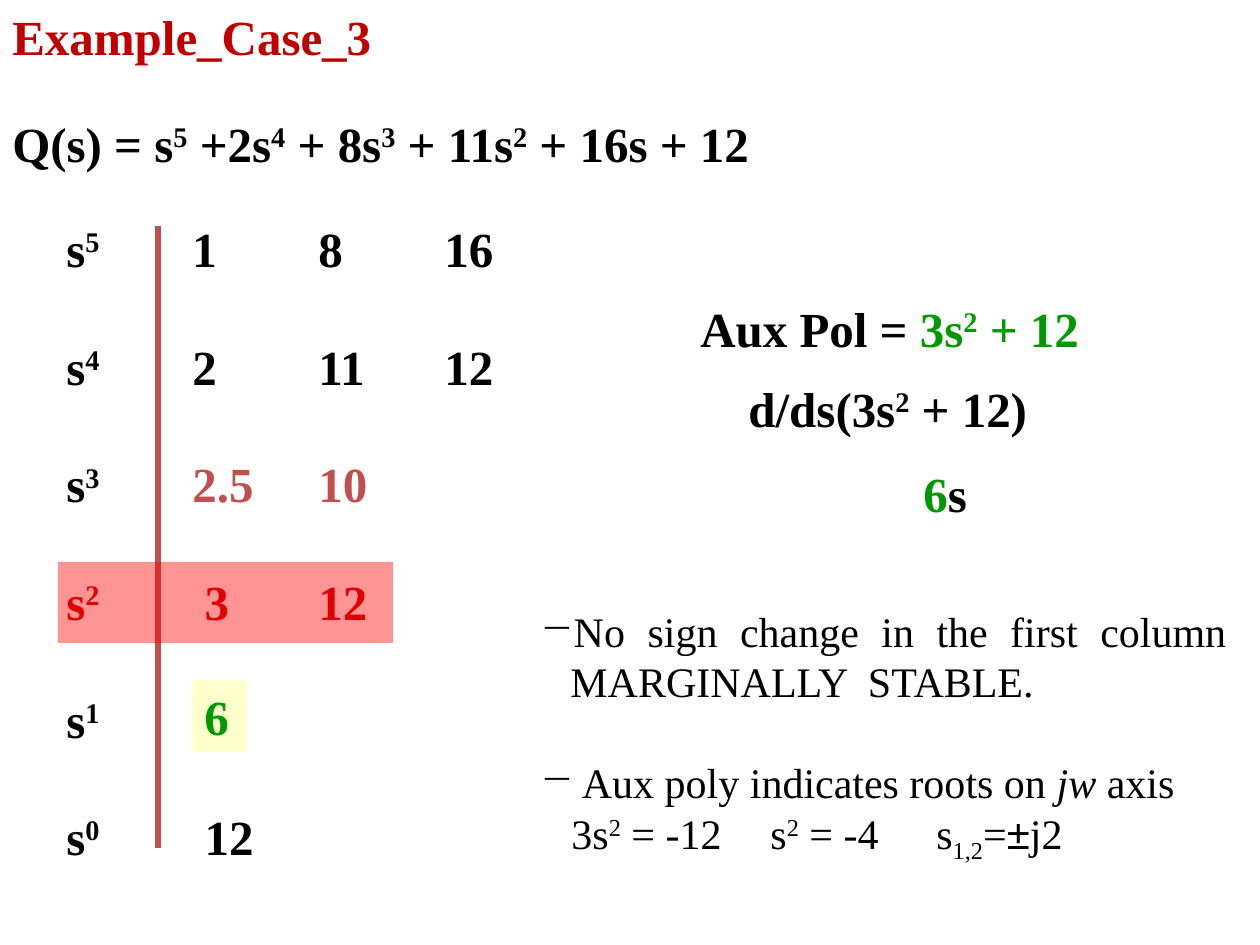
from dataclasses import dataclass

from lxml import etree
from pptx import Presentation
from pptx.dml.color import RGBColor
from pptx.enum.shapes import MSO_CONNECTOR, MSO_SHAPE
from pptx.enum.text import MSO_ANCHOR, PP_ALIGN
from pptx.oxml.ns import qn
from pptx.util import Pt

RECTANGLE = MSO_SHAPE.RECTANGLE
STRAIGHT = MSO_CONNECTOR.STRAIGHT
TOP, MIDDLE = MSO_ANCHOR.TOP, MSO_ANCHOR.MIDDLE
LEFT, JUSTIFY = PP_ALIGN.LEFT, PP_ALIGN.JUSTIFY

PX = 914400 / 126  # EMU per px
INCH = 126


@dataclass(frozen=True)
class Theme:
    serif: str = "Times New Roman"
    sans: str = "Arial"
    math_size: int = 28
    note_size: int = 24
    black: str = "000000"
    title: str = "C00000"
    rust: str = "C0504D"
    red: str = "CC0000"
    green: str = "009900"
    highlight: str = "FF0000"
    yellow: str = "FFFFCC"


@dataclass(frozen=True)
class Run:
    text: str
    color: str = ""
    baseline: int = 0
    italic: bool = False
    font: str = ""


@dataclass(frozen=True)
class Line:
    runs: list
    space_before: float = 0
    tabs: tuple = ()
    dash: bool = False


def emu(px):
    return round(px * PX)


def powers(text, color=""):
    """Split text into runs; the character after each ^ is raised."""
    first, *rest = text.split("^")
    runs = [Run(first, color)]
    for part in rest:
        runs.append(Run(part[0], color, baseline=30))
        if part[1:]:
            runs.append(Run(part[1:], color))
    return runs


class SlideBuilder:
    def __init__(self, slide, theme):
        self.slide = slide
        self.theme = theme

    def text(self, box, lines, anchor=MIDDLE, **style):
        shape = self.slide.shapes.add_textbox(*map(emu, box))
        self.fill_text(shape.text_frame, lines, anchor, **style)

    def rectangle(self, box, color, opacity=100):
        shape = self.slide.shapes.add_shape(RECTANGLE, *map(emu, box))
        shape.shadow.inherit = False
        shape.line.fill.background()
        shape.fill.solid()
        shape.fill.fore_color.rgb = RGBColor.from_string(color)
        if opacity < 100:
            clr = shape.fill._xPr.find(f".//{qn('a:srgbClr')}")
            etree.SubElement(clr, qn("a:alpha"), val=str(opacity * 1000))
        return shape

    def rule(self, x, top, bottom, color, weight):
        line = self.slide.shapes.add_connector(
            STRAIGHT, emu(x), emu(top), emu(x), emu(bottom))
        line.line.color.rgb = RGBColor.from_string(color)
        line.line.width = Pt(weight)
        etree.SubElement(line._element.spPr, qn("a:effectLst"))

    def fill_text(self, frame, lines, anchor, size=None, color=None,
                  bold=True, align=LEFT):
        frame.word_wrap = True
        frame.vertical_anchor = anchor
        for index, line in enumerate(lines):
            paragraph = frame.add_paragraph() if index else frame.paragraphs[0]
            paragraph.alignment = align
            if line.space_before:
                paragraph.space_before = Pt(line.space_before)
            self.add_bullet_and_tabs(paragraph, line)
            font = paragraph.font
            font.name = self.theme.serif
            font.size = Pt(size or self.theme.math_size)
            font.bold = bold
            font.color.rgb = RGBColor.from_string(color or self.theme.black)
            for part in line.runs:
                self.add_run(paragraph, part)

    def add_bullet_and_tabs(self, paragraph, line):
        props = paragraph._p.get_or_add_pPr()
        if line.dash:
            props.set("marL", str(emu(30)))
            props.set("indent", str(-emu(30)))
            etree.SubElement(props, qn("a:buChar"), char="−")
        if line.tabs:
            stops = etree.SubElement(props, qn("a:tabLst"))
            for px in line.tabs:
                etree.SubElement(stops, qn("a:tab"), pos=str(emu(px)), algn="l")

    def add_run(self, paragraph, part):
        run = paragraph.add_run()
        run.text = part.text
        if part.color:
            run.font.color.rgb = RGBColor.from_string(part.color)
        if part.italic:
            run.font.italic = True
        if part.font:
            run.font.name = part.font
        if part.baseline:
            run._r.get_or_add_rPr().set("baseline", str(part.baseline * 1000))


def main():
    theme = Theme()
    deck = Presentation()
    deck.slide_width, deck.slide_height = emu(1260), emu(945)
    builder = SlideBuilder(deck.slides.add_slide(deck.slide_layouts[6]), theme)

    builder.text((0, 107, 896, 72),
                 [Line(powers("Q(s) = s^5 +2s^4 + 8s^3 + 11s^2 + 16s + 12"))])

    builder.rule(158, 226, 848, theme.rust, 3)
    routh_rows = [
        powers("s^5\t1\t8\t16"),
        powers("s^4\t2\t11\t12"),
        powers("s^3") + [Run("\t2.5\t10", theme.rust)],
        powers("s^2\t 3\t12", theme.red),
        powers("s^1"),
        powers("s^0\t 12"),
    ]
    columns = (INCH, 2 * INCH, 3 * INCH)
    builder.text((54, 212, 470, 660),
                 [Line(runs, space_before=33.6 if row else 0, tabs=columns)
                  for row, runs in enumerate(routh_rows)])

    builder.text((0, 0, 450, 72), [Line([Run("Example_Case_3")])],
                 anchor=TOP, color=theme.title)

    auxiliary_steps = [
        ((688, 292, 465, 72),
         [Run("Aux Pol = ")] + powers("3s^2 + 12", theme.green)),
        ((736, 372, 372, 72), powers("d/ds(3s^2 + 12)")),
        ((911, 457, 95, 72), [Run("6", theme.green), Run("s")]),
    ]
    for box, runs in auxiliary_steps:
        builder.text(box, [Line(runs)])

    builder.rectangle((58, 562, 335, 81), theme.highlight, opacity=42)
    replaced_zero = builder.rectangle((192, 680, 55, 72), theme.yellow)
    builder.fill_text(replaced_zero.text_frame, [Line([Run("6")])], TOP,
                      color=theme.green)

    conclusions = [
        Line([Run("No sign change in the first column MARGINALLY  STABLE.")],
             dash=True),
        Line([Run(" Aux poly indicates roots on "), Run("jw", italic=True),
              Run(" axis")], space_before=28.8, dash=True),
        Line(powers("\t3s^2 = -12\ts^2 = -4\ts")
             + [Run("1,2", baseline=-25), Run("="),
                Run("±", font=theme.sans), Run("j2")],
             tabs=(31, 230, 396)),
    ]
    builder.text((528, 599, 711, 272), conclusions, size=theme.note_size,
                 bold=False, align=JUSTIFY)

    deck.save("out.pptx")


if __name__ == "__main__":
    main()
